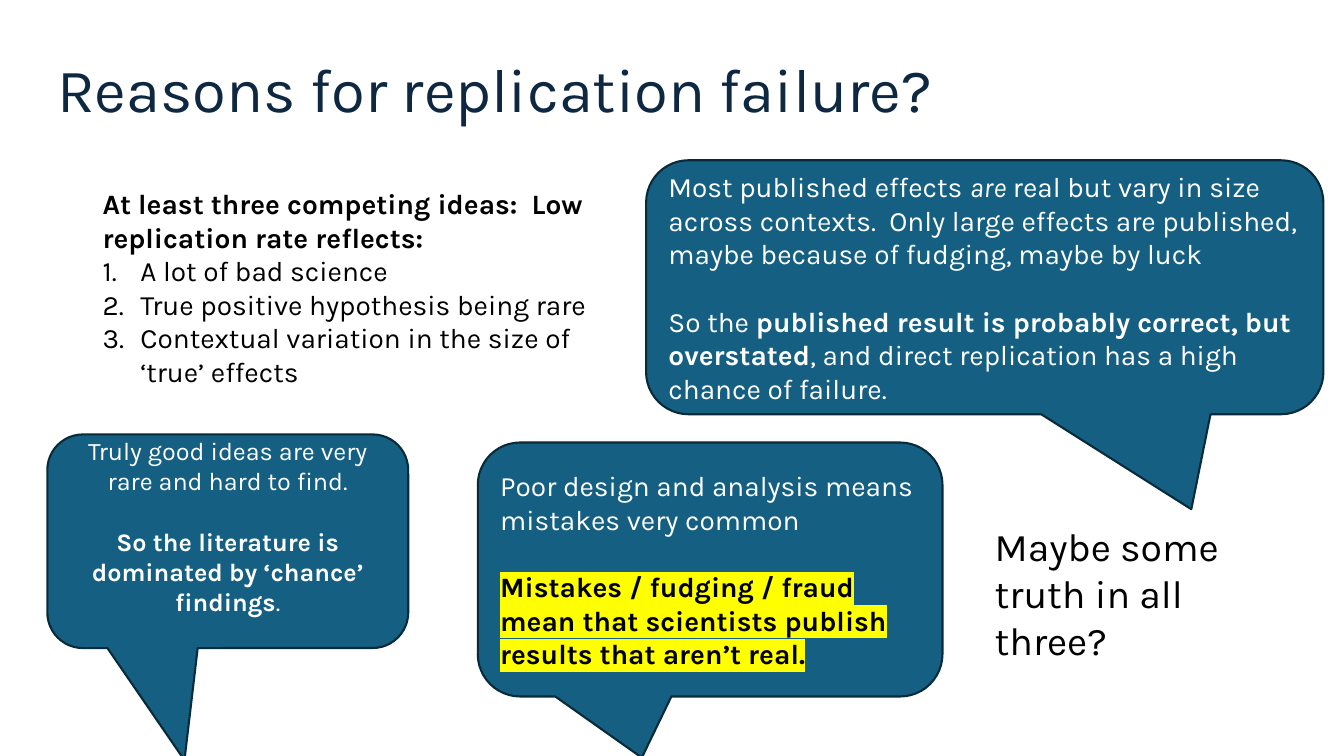
from dataclasses import dataclass

from lxml import etree
from pptx import Presentation
from pptx.dml.color import RGBColor
from pptx.enum import shapes, text
from pptx.oxml.ns import qn
from pptx.util import Pt

FONT = "Karla"
LINE = 1.2  # height of a text line relative to its size
HANG = 27
COLORS = {
    "navy": "0E2841",
    "black": "000000",
    "white": "FFFFFF",
    "blue": "156082",
    "edge": "092A39",
    "yellow": "FFFF00",
}


@dataclass
class Run:
    words: str
    bold: bool = False
    italic: bool = False
    color: str = ""
    mark: str = ""


@dataclass
class Para:
    runs: list[Run]
    gap: bool = False
    number: bool = False


@dataclass
class Block:
    box: tuple[float, float, float, float]
    size: float
    color: str
    paras: list[Para]
    tail: tuple[float, float] | None = None
    middle: bool = False
    center: bool = False
    spacing: float = 1.0
    foot: float = 3.6


def rgb(name: str) -> RGBColor:
    return RGBColor.from_string(COLORS[name])


def add_run(para, run: Run, block: Block) -> None:
    item = para.add_run()
    item.text = run.words
    font = item.font
    font.size, font.bold, font.italic = Pt(block.size), run.bold, run.italic
    font.color.rgb = rgb(run.color or block.color)
    if run.mark:
        light = etree.SubElement(item._r.get_or_add_rPr(), qn("a:highlight"))
        etree.SubElement(light, qn("a:srgbClr"), val=COLORS[run.mark])
    font.name = FONT


def add_para(para, data: Para, block: Block) -> None:
    para.alignment = text.PP_ALIGN.CENTER if block.center else text.PP_ALIGN.LEFT
    para.line_spacing = block.spacing
    if data.gap:
        para.space_before = Pt(block.size * LINE)
    if data.number:
        props = para._p.get_or_add_pPr()
        props.set("marL", str(Pt(HANG)))
        props.set("indent", str(-Pt(HANG)))
        etree.SubElement(props, qn("a:buFont"), typeface="+mj-lt")
        etree.SubElement(props, qn("a:buAutoNum"), type="arabicPeriod")
    for run in data.runs:
        add_run(para, run, block)


def add_block(slide, block: Block) -> None:
    box = [Pt(n) for n in block.box]
    if block.tail:
        kind = shapes.MSO_SHAPE.ROUNDED_RECTANGULAR_CALLOUT
        shape = slide.shapes.add_shape(kind, *box)
        shape.adjustments[0], shape.adjustments[1] = block.tail
        shape.shadow.inherit = False
        shape.fill.solid()
        shape.fill.fore_color.rgb = rgb("blue")
        shape.line.color.rgb = rgb("edge")
        shape.line.width = Pt(1.5)
    else:
        shape = slide.shapes.add_textbox(*box)
    frame = shape.text_frame
    frame.word_wrap = True
    frame.margin_bottom = Pt(block.foot)
    anchor = text.MSO_ANCHOR
    frame.vertical_anchor = anchor.MIDDLE if block.middle else anchor.TOP
    for i, data in enumerate(block.paras):
        para = frame.add_paragraph() if i else frame.paragraphs[0]
        add_para(para, data, block)


BLOCKS = [
    # Title
    Block((33.8, 13.7, 828, 104.4), 44, "navy",
          [Para([Run("Reasons for replication failure?")])],
          middle=True, spacing=0.9),
    # Competing ideas
    Block((66.2, 129.6, 365, 152.6), 20, "black", [
        Para([Run("At least three competing ideas:  Low replication rate reflects:",
                  bold=True)]),
        Para([Run("A lot of bad science")], number=True),
        Para([Run("True positive hypothesis being rare")], number=True),
        Para([Run("Contextual variation in the size of ‘true’ effects")], number=True),
    ]),
    # Callout on bad science
    Block((341.3, 316.1, 331.9, 181.4), 20, "white", [
        Para([Run("Poor design and analysis means mistakes very common")]),
        Para([Run("Mistakes / fudging / fraud mean that scientists publish "
                  "results that aren’t real.",
                  bold=True, color="black", mark="yellow")], gap=True),
    ], tail=(-0.147, 0.741), middle=True),
    # Callout on rare ideas, its text lifted by one line at the foot
    Block((33.8, 310.3, 257.8, 152.6), 18, "white", [
        Para([Run("Truly good ideas are very rare and hard to find.")]),
        Para([Run("So the literature is dominated by ‘chance’ findings", bold=True),
              Run(".")], gap=True),
    ], tail=(-0.12, 1.025), middle=True, center=True, foot=25.2),
    # Callout on varying effects
    Block((461.5, 114.5, 483.8, 181.4), 20, "white", [
        Para([Run("Most published effects "), Run("are", italic=True),
              Run(" real but vary in size across contexts.  Only large effects "
                  "are published, maybe because of fudging, maybe by luck")]),
        Para([Run("So the "),
              Run("published result is probably correct, but overstated", bold=True),
              Run(", and direct replication has a high chance of failure.")],
             gap=True),
    ], tail=(0.305, 0.874), middle=True),
    # Closing question
    Block((703.4, 369.4, 221.8, 74.9), 28, "black",
          [Para([Run("Maybe some truth in all three?")])]),
]


def main() -> None:
    deck = Presentation()
    deck.slide_width, deck.slide_height = Pt(960), Pt(540)
    slide = deck.slides.add_slide(deck.slide_layouts[6])
    for block in BLOCKS:
        add_block(slide, block)
    deck.save("out.pptx")


if __name__ == "__main__":
    main()
